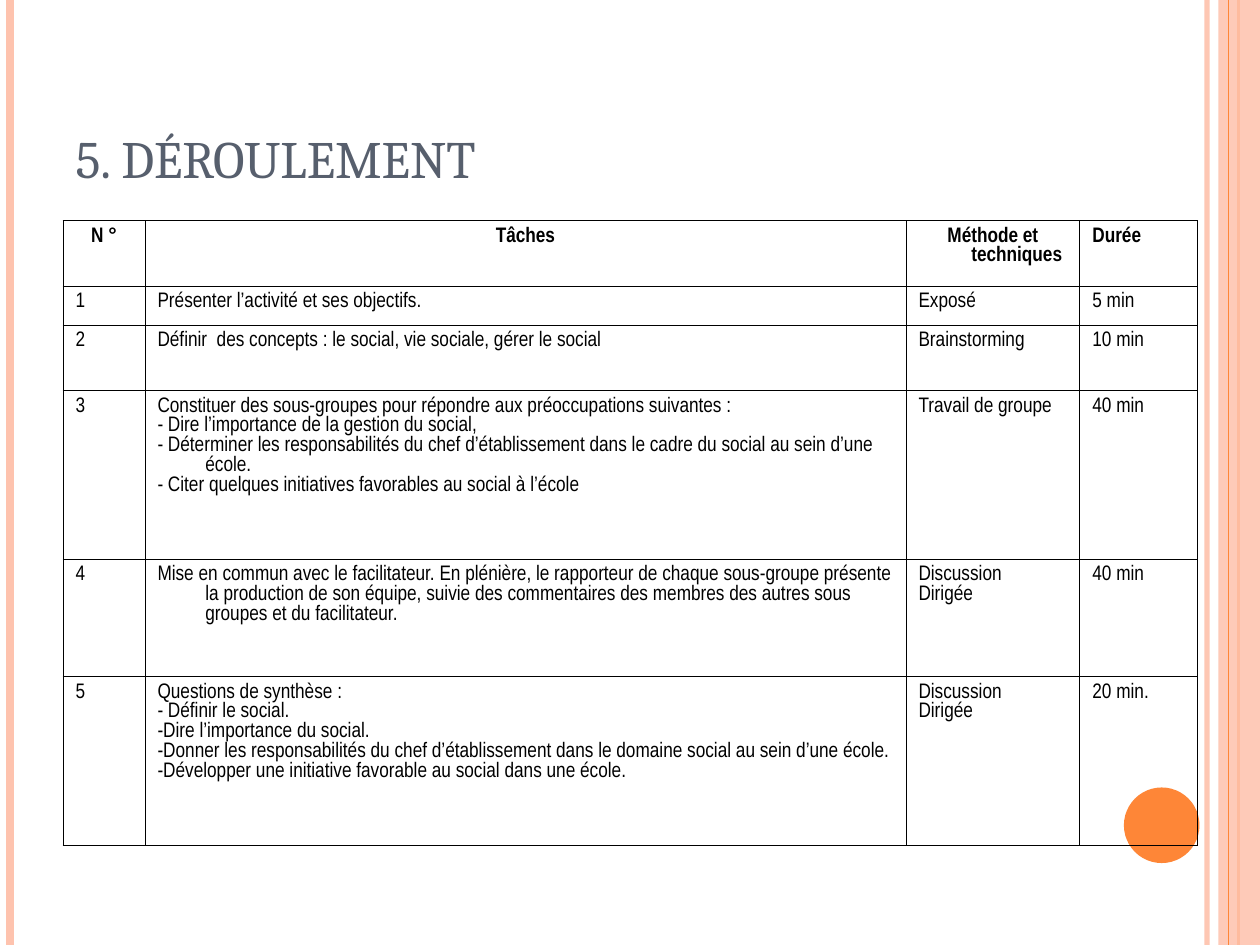
from lxml.etree import SubElement
from pptx import Presentation
from pptx.dml.color import RGBColor
from pptx.enum.shapes import MSO_CONNECTOR, MSO_SHAPE
from pptx.enum.text import MSO_ANCHOR, MSO_AUTO_SIZE, PP_ALIGN
from pptx.oxml.ns import qn
from pptx.util import Inches, Pt

PEACH = RGBColor(0xFE, 0xC3, 0xAE)
ORANGE = RGBColor(0xFE, 0x86, 0x37)
SLATE = RGBColor(0x57, 0x5F, 0x6D)
BLACK = RGBColor(0, 0, 0)

WIDTH, HEIGHT = Inches(10), Inches(7.5)
COLUMNS = [0.65, 6.04, 1.38, 0.93]
ROWS = [0.52, 0.31, 0.52, 1.34, 0.93, 1.34]
HANGING = Inches(0.38)

# Each line of a cell is one paragraph
HEADER = ["N °", "Tâches", "Méthode et techniques", "Durée"]
STEPS = [
    ["1", "Présenter l’activité et ses objectifs.", "Exposé", "5 min"],
    ["2", "Définir  des concepts : le social, vie sociale, gérer le social",
     "Brainstorming", "10 min"],
    ["3", "Constituer des sous-groupes pour répondre aux préoccupations suivantes :\n"
     "- Dire l’importance de la gestion du social,\n"
     "- Déterminer les responsabilités du chef d’établissement dans le cadre "
     "du social au sein d’une école.\n"
     "- Citer quelques initiatives favorables au social à l’école",
     "Travail de groupe", "40 min"],
    ["4", "Mise en commun avec le facilitateur. En plénière, le rapporteur de "
     "chaque sous-groupe présente la production de son équipe, suivie des "
     "commentaires des membres des autres sous groupes et du facilitateur.",
     "Discussion\nDirigée", "40 min"],
    ["5", "Questions de synthèse :\n"
     "- Définir le social.\n"
     "-Dire l’importance du social.\n"
     "-Donner les responsabilités du chef d’établissement dans le domaine "
     "social au sein d’une école.\n"
     "-Développer une initiative favorable au social dans une école.",
     "Discussion\nDirigée", "20 min."],
]


def set_alpha(parent, percent):
    color = parent.find(".//" + qn("a:srgbClr"))
    SubElement(color, qn("a:alpha"), val=str(percent * 1000))


def add_stripe(s, x, color, width, alpha=100):
    line = s.shapes.add_connector(MSO_CONNECTOR.STRAIGHT, Inches(x), 0, Inches(x), HEIGHT)
    line.line.color.rgb = color
    line.line.width = Pt(width)
    if alpha < 100:
        set_alpha(line.line._ln, alpha)
    SubElement(line._element.spPr, qn("a:effectLst"))


def add_plain_shape(s, kind, x, y, w, h, color, alpha=100):
    sp = s.shapes.add_shape(kind, Inches(x), Inches(y), Inches(w), Inches(h))
    sp.shadow.inherit = False
    sp.fill.solid()
    sp.fill.fore_color.rgb = color
    sp.line.fill.background()
    if alpha < 100:
        set_alpha(sp._element.spPr, alpha)


def set_title(s, text):
    title = s.shapes.title
    title.left, title.top = Inches(0.5), Inches(0.3)
    title.width, title.height = Inches(9), Inches(1.25)
    tf = title.text_frame
    tf.text = text
    tf.word_wrap = True
    tf.auto_size = MSO_AUTO_SIZE.NONE
    tf.vertical_anchor = MSO_ANCHOR.BOTTOM
    p = tf.paragraphs[0]
    p.alignment = PP_ALIGN.LEFT
    p.font.name, p.font.size = "Cambria", Pt(30)
    p.font.color.rgb = SLATE


def set_borders(cell):
    tcPr = cell._tc.get_or_add_tcPr()
    for i, side in enumerate(("lnL", "lnR", "lnT", "lnB")):
        ln = tcPr.makeelement(qn("a:" + side), {"w": str(Pt(0.45))})
        fill = SubElement(ln, qn("a:solidFill"))
        SubElement(fill, qn("a:srgbClr"), val=str(BLACK))
        tcPr.insert(i, ln)


def fill_cell(cell, text, bold, centred):
    cell.fill.background()
    set_borders(cell)
    cell.text = text
    for p in cell.text_frame.paragraphs:
        p.alignment = PP_ALIGN.CENTER if centred else PP_ALIGN.LEFT
        pPr = p._p.get_or_add_pPr()
        pPr.set("marL", str(HANGING))
        pPr.set("indent", str(-HANGING))
        p.font.name, p.font.size = "Arial Narrow", Pt(12)
        p.font.bold = bold
        p.font.color.rgb = BLACK


def add_steps_table(s):
    frame = s.shapes.add_table(len(ROWS), len(COLUMNS), Inches(0.5), Inches(1.75),
                               Inches(sum(COLUMNS)), Inches(sum(ROWS)))
    table = frame.table
    table.first_row = table.horz_banding = False
    for column, width in zip(table.columns, COLUMNS):
        column.width = Inches(width)
    for row, height in zip(table.rows, ROWS):
        row.height = Inches(height)
    for r, texts in enumerate([HEADER] + STEPS):
        for c, text in enumerate(texts):
            is_header = r == 0
            fill_cell(table.cell(r, c), text, is_header, is_header and c < 3)


def main():
    prs = Presentation()
    prs.slide_width, prs.slide_height = WIDTH, HEIGHT
    s = prs.slides.add_slide(prs.slide_layouts[5])

    # Side stripes and disc
    add_stripe(s, 9.58, PEACH, 3, alpha=93)
    add_stripe(s, 0.08, PEACH, 4.5)
    add_stripe(s, 9.83, ORANGE, 1.5)
    add_plain_shape(s, MSO_SHAPE.RECTANGLE, 9.67, 0, 0.33, 7.5, PEACH, alpha=87)
    add_stripe(s, 9.75, ORANGE, 0.75)
    add_plain_shape(s, MSO_SHAPE.OVAL, 8.92, 6.25, 0.6, 0.6, ORANGE)

    # Content
    set_title(s, "5. DÉROULEMENT")
    add_steps_table(s)
    prs.save("out.pptx")


if __name__ == "__main__":
    main()
